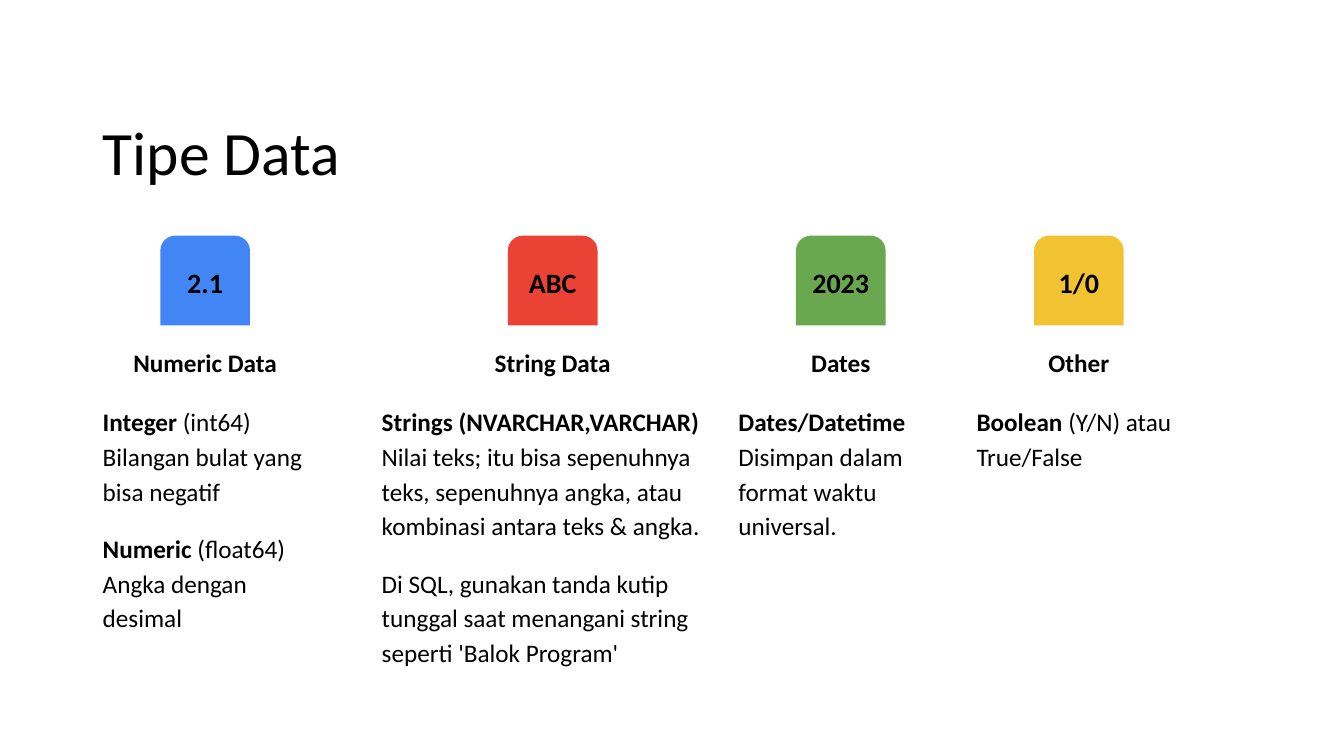
from pptx import Presentation
from pptx.dml.color import RGBColor
from pptx.enum.shapes import MSO_SHAPE as Shape
from pptx.enum.text import MSO_ANCHOR as Anchor, PP_ALIGN as Align
from pptx.util import Cm, Pt

COLORS = {
    "text": "000000",
    "blue": "4285F4",
    "red": "EA4335",
    "green": "6AA84F",
    "yellow": "F1C232",
}
FONT = "Calibri"
COLUMN_WIDTH = 5.66
COLUMN_TOP = 5.94
ICON_SIZE = 2.26
LABEL_OFFSET, LABEL_HEIGHT = 2.44, 1.52
BODY_OFFSET, BODY_HEIGHT = 3.94, 6.12

DATA_TYPES = [
    {"left": 2.34, "color": "blue", "icon": "2.1", "label": "Numeric Data",
     "body": [
         [("Integer", True), (" (int64)\nBilangan bulat yang bisa negatif", False)],
         [("Numeric", True), (" (float64) Angka dengan desimal", False)],
     ]},
    {"left": 11.1, "color": "red", "icon": "ABC", "label": "String Data",
     "body_left": 9.37, "body_width": 8.66,
     "body": [
         [("Strings (NVARCHAR,VARCHAR)\n", True),
          ("Nilai teks; itu bisa sepenuhnya teks, sepenuhnya angka, "
           "atau kombinasi antara teks & angka.", False)],
         [("Di SQL, gunakan tanda kutip tunggal saat menangani string "
           "seperti 'Balok Program'", False)],
     ]},
    {"left": 18.36, "color": "green", "icon": "2023", "label": "Dates",
     "space": 0,
     "body": [
         [("Dates/Datetime", True)],
         [("Disimpan dalam format waktu universal.", False)],
     ]},
    {"left": 24.36, "color": "yellow", "icon": "1/0", "label": "Other",
     "body": [[("Boolean", True), (" (Y/N) atau True/False", False)]]},
]


def write_text(shape, paragraphs, size=18, align=Align.LEFT, anchor=Anchor.MIDDLE,
               line_spacing=1.0, space=0, margin=0.25):
    frame = shape.text_frame
    frame.word_wrap = True
    frame.vertical_anchor = anchor
    frame.margin_left = frame.margin_right = Cm(0.25)
    frame.margin_top = frame.margin_bottom = Cm(margin)
    for index, runs in enumerate(paragraphs):
        paragraph = frame.add_paragraph() if index else frame.paragraphs[0]
        paragraph.alignment = align
        paragraph.line_spacing = line_spacing
        if index:
            paragraph.space_before = Pt(space)
        for text, bold in runs:
            for number, line in enumerate(text.split("\n")):
                if number:
                    paragraph.add_line_break()
                if line:
                    run = paragraph.add_run()
                    run.text = line
                    run.font.name = FONT
                    run.font.size = Pt(size)
                    run.font.bold = bold
                    run.font.color.rgb = RGBColor.from_string(COLORS["text"])


def add_text(slide, left, top, width, height, paragraphs, **formatting):
    shape = slide.shapes.add_textbox(Cm(left), Cm(top), Cm(width), Cm(height))
    write_text(shape, paragraphs, **formatting)


def add_icon(slide, left, top, text, color):
    shape = slide.shapes.add_shape(
        Shape.ROUND_2_SAME_RECTANGLE, Cm(left), Cm(top), Cm(ICON_SIZE), Cm(ICON_SIZE))
    shape.shadow.inherit = False
    shape.fill.solid()
    shape.fill.fore_color.rgb = RGBColor.from_string(COLORS[color])
    shape.line.fill.background()
    write_text(shape, [[(text, True)]], size=20, align=Align.CENTER)


def add_data_type(slide, top, data_type):
    left = data_type["left"]
    add_icon(slide, left + (COLUMN_WIDTH - ICON_SIZE) / 2, top,
             data_type["icon"], data_type["color"])
    add_text(slide, left, top + LABEL_OFFSET, COLUMN_WIDTH, LABEL_HEIGHT,
             [[(data_type["label"], True)]], align=Align.CENTER)
    add_text(slide, data_type.get("body_left", left), top + BODY_OFFSET,
             data_type.get("body_width", COLUMN_WIDTH), BODY_HEIGHT,
             data_type["body"], anchor=Anchor.TOP, line_spacing=1.15,
             space=data_type.get("space", 16))


def add_title(slide, left, top, width, height):
    add_text(slide, left, top, width, height, [[("Tipe Data", False)]],
             size=44, line_spacing=0.9, margin=0.13)


def main():
    presentation = Presentation()
    presentation.slide_width = Cm(33.87)
    presentation.slide_height = Cm(19.05)
    slide = presentation.slides.add_slide(presentation.slide_layouts[6])
    add_title(slide, 2.34, 2.08, 29.21, 3.68)
    for data_type in DATA_TYPES:
        add_data_type(slide, COLUMN_TOP, data_type)
    presentation.save("out.pptx")


if __name__ == "__main__":
    main()
